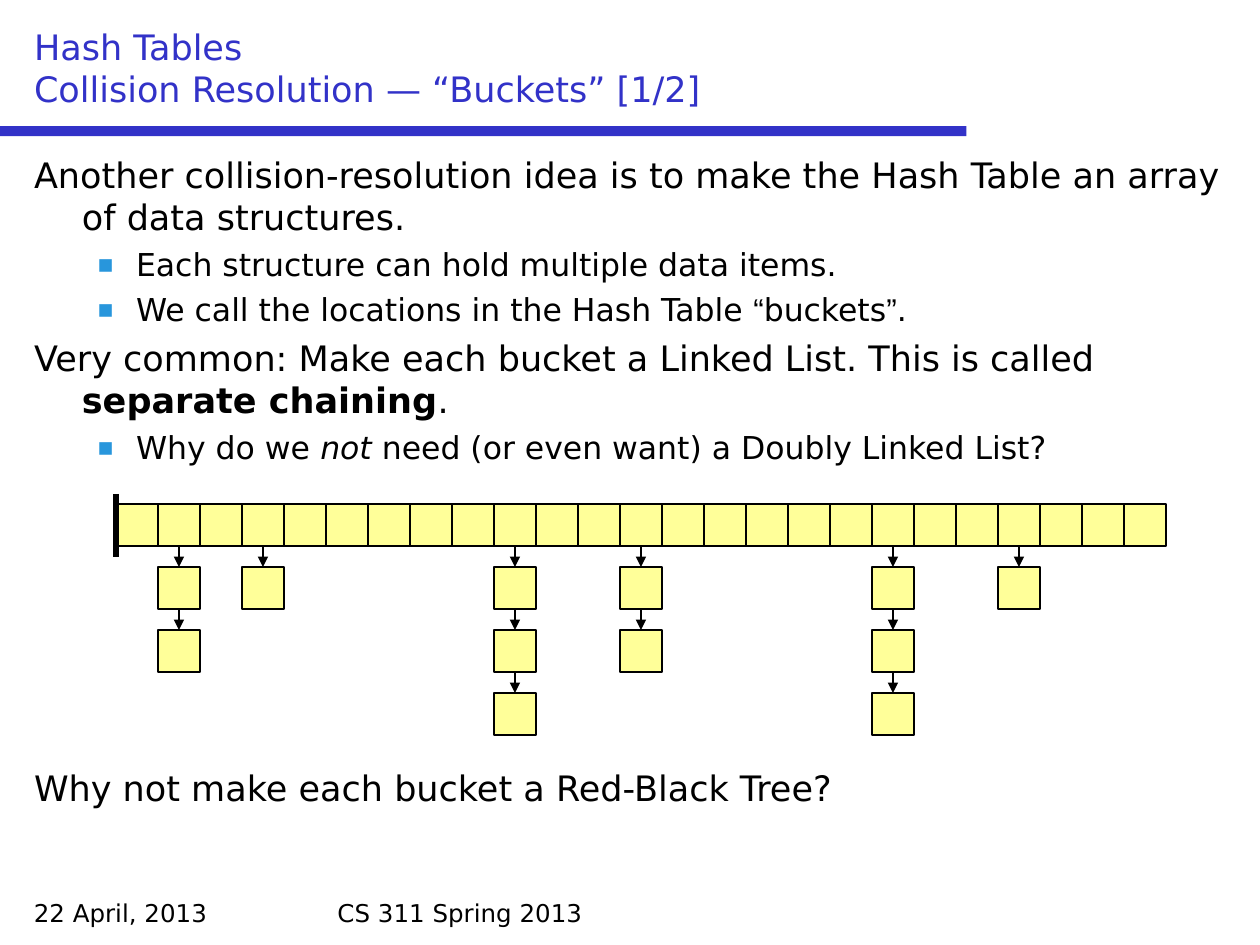
from lxml import etree
from pptx import Presentation
from pptx.dml.color import RGBColor
from pptx.enum.shapes import MSO_CONNECTOR as Connector, MSO_SHAPE as Shape
from pptx.enum.text import MSO_ANCHOR as Anchor, MSO_AUTO_SIZE as AutoSize, PP_ALIGN as Align
from pptx.oxml.ns import qn
from pptx.util import Inches, Pt

BLACK = RGBColor(0x00, 0x00, 0x00)
WHITE = RGBColor(0xFF, 0xFF, 0xFF)
BLUE = RGBColor(0x32, 0x32, 0xC8)
BULLET_BLUE = RGBColor(0x28, 0x96, 0xDC)
YELLOW = RGBColor(0xFF, 0xFF, 0x99)
FONT = "DejaVu Sans"
QUOTE_FONT = "Arial"

BUCKET_COUNT = 25
CELL = 1 / 3
ROW_STEP = 0.5
CHAIN_LENGTHS = {1: 2, 3: 1, 9: 3, 12: 2, 18: 3, 21: 1}

GAP_BEFORE_QUESTION = 172
BODY = [
    (0, 0, [("Another collision-resolution idea is to make the Hash Table "
             "an array of data structures.", "")]),
    (1, 4.2, [("Each structure can hold multiple data items.", "")]),
    (1, 4.2, [("We call the locations in the Hash Table ", ""), ("“", "quote"),
              ("buckets", ""), ("”", "quote"), (".", "")]),
    (0, 4.7, [("Very common: Make each bucket a Linked List. This is called ", ""),
              ("separate chaining", "bold"), (".", "")]),
    (1, 4.2, [("Why do we ", ""), ("not", "italic"),
              (" need (or even want) a Doubly Linked List?", "")]),
    (0, GAP_BEFORE_QUESTION, [("Why not make each bucket a Red-Black Tree?", "")]),
]


def place(shape, left, top, width, height):
    shape.left, shape.top = Inches(left), Inches(top)
    shape.width, shape.height = Inches(width), Inches(height)


def format_font(font, size, color):
    font.name = FONT
    font.size = Pt(size)
    font.color.rgb = color


def add_box(slide, left, top, width, height, fill):
    box = slide.shapes.add_shape(
        Shape.RECTANGLE, Inches(left), Inches(top), Inches(width), Inches(height))
    box.shadow.inherit = False
    box.fill.solid()
    box.fill.fore_color.rgb = fill
    return box


def add_line(slide, x, top, bottom, weight, arrow=False):
    line = slide.shapes.add_connector(
        Connector.STRAIGHT, Inches(x), Inches(top), Inches(x), Inches(bottom))
    line.line.color.rgb = BLACK
    line.line.width = Pt(weight)
    properties = line.element.spPr
    if arrow:
        outline = properties.find(qn("a:ln"))
        etree.SubElement(outline, qn("a:tailEnd"), type="triangle")
    etree.SubElement(properties, qn("a:effectLst"))


def add_title(slide, left, top, width, height):
    title = slide.shapes.title
    place(title, left, top, width, height)
    frame = title.text_frame
    frame.text = "Hash Tables\vCollision Resolution — “Buckets” [1/2]"
    frame.auto_size = AutoSize.NONE
    frame.vertical_anchor = Anchor.BOTTOM
    paragraph = frame.paragraphs[0]
    paragraph.alignment = Align.LEFT
    for run in paragraph.runs:
        format_font(run.font, 20, BLUE)


def set_bullet(paragraph, level):
    properties = paragraph._p.get_or_add_pPr()
    margin, indent = ((0.38, -0.38), (0.81, -0.31))[level]
    properties.set("marL", str(Inches(margin)))
    properties.set("indent", str(Inches(indent)))
    if level == 0:
        etree.SubElement(properties, qn("a:buNone"))
        return
    color = etree.SubElement(properties, qn("a:buClr"))
    etree.SubElement(color, qn("a:srgbClr"), val=str(BULLET_BLUE))
    etree.SubElement(properties, qn("a:buSzPct"), val="80000")
    etree.SubElement(properties, qn("a:buFont"), typeface=FONT)
    etree.SubElement(properties, qn("a:buChar"), char="▪")


def add_body(slide, left, top, width, height):
    body = slide.placeholders[1]
    place(body, left, top, width, height)
    frame = body.text_frame
    frame.auto_size = AutoSize.NONE
    for number, (level, space, pieces) in enumerate(BODY):
        paragraph = frame.add_paragraph() if number else frame.paragraphs[0]
        paragraph.level = level
        set_bullet(paragraph, level)
        paragraph.space_before = Pt(space)
        for text, style in pieces:
            run = paragraph.add_run()
            run.text = text
            format_font(run.font, (20, 18)[level], BLACK)
            if style == "quote":
                run.font.name = QUOTE_FONT
            elif style == "bold":
                run.font.bold = True
            elif style == "italic":
                run.font.italic = True


def add_node(slide, left, top):
    node = add_box(slide, left, top, CELL, CELL, YELLOW)
    node.line.color.rgb = BLACK
    node.line.width = Pt(1.25)


def add_hash_table(slide, left, top):
    for index in range(BUCKET_COUNT):
        add_node(slide, left + index * CELL, top)
    add_line(slide, left, top - 0.08, top + 0.42, 3)
    for index, length in CHAIN_LENGTHS.items():
        x = left + index * CELL
        for depth in range(1, length + 1):
            node_top = top + depth * ROW_STEP
            add_line(slide, x + CELL / 2, node_top - ROW_STEP + CELL, node_top, 1.25, True)
            add_node(slide, x, node_top)


def add_footer(slide, text, left, top, width, height):
    box = slide.shapes.add_textbox(
        Inches(left), Inches(top), Inches(width), Inches(height))
    frame = box.text_frame
    frame.word_wrap = True
    frame.text = text
    format_font(frame.paragraphs[0].runs[0].font, 14, BLACK)


def main():
    presentation = Presentation()
    presentation.slide_width = Inches(10)
    presentation.slide_height = Inches(7.5)
    slide = presentation.slides.add_slide(presentation.slide_layouts[1])
    slide.background.fill.solid()
    slide.background.fill.fore_color.rgb = WHITE
    rule = add_box(slide, 0, 1, 7.67, 0.08, BLUE)
    rule.line.fill.background()
    add_footer(slide, "22 April, 2013", 0.17, 7.08, 2.33, 0.33)
    add_footer(slide, "CS 311 Spring 2013", 2.58, 7.08, 4.83, 0.33)
    add_title(slide, 0.17, 0.17, 9.67, 0.75)
    add_body(slide, 0.17, 1.17, 9.67, 5.83)
    add_hash_table(slide, 0.92, 4)
    presentation.save("out.pptx")


if __name__ == "__main__":
    main()
